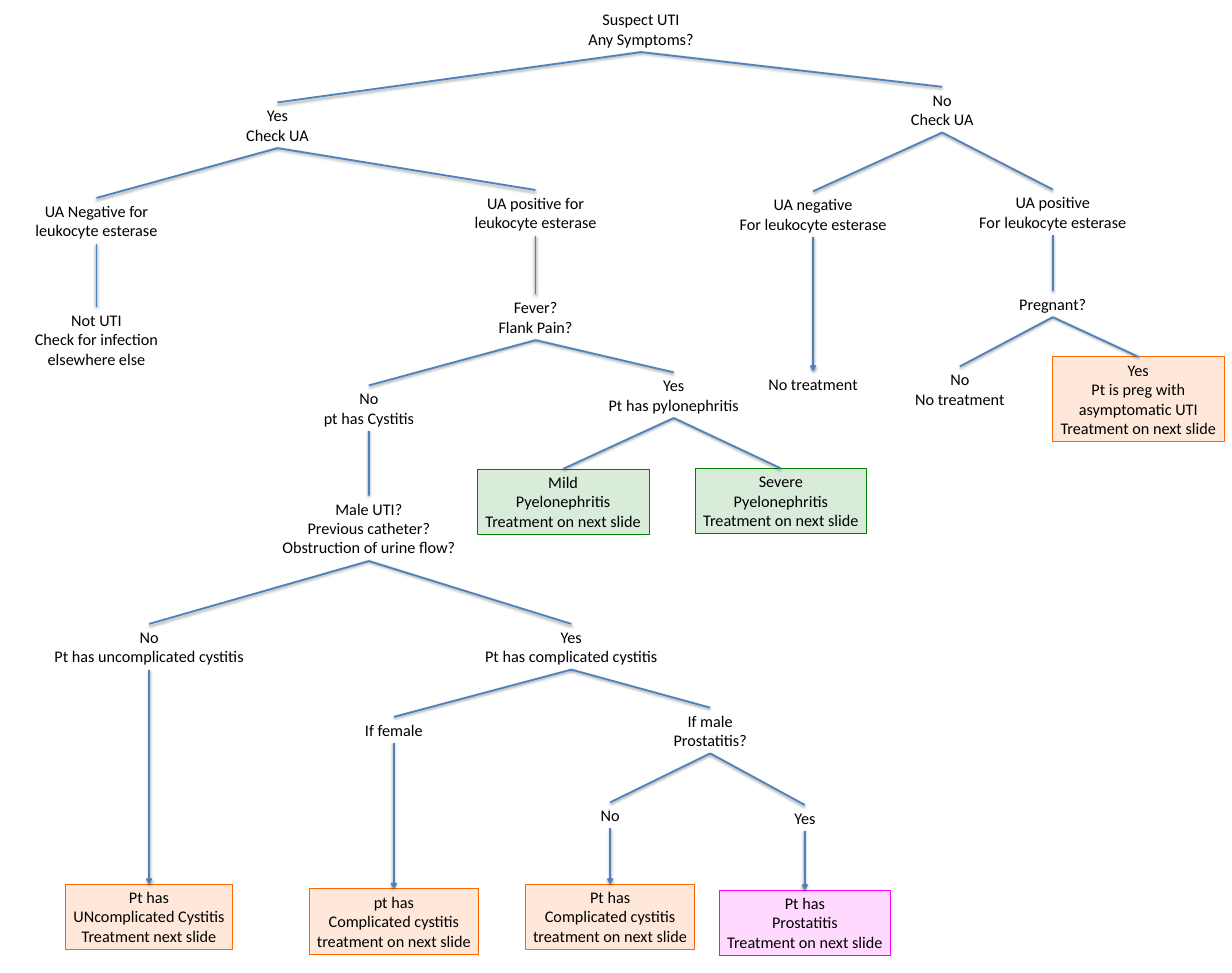
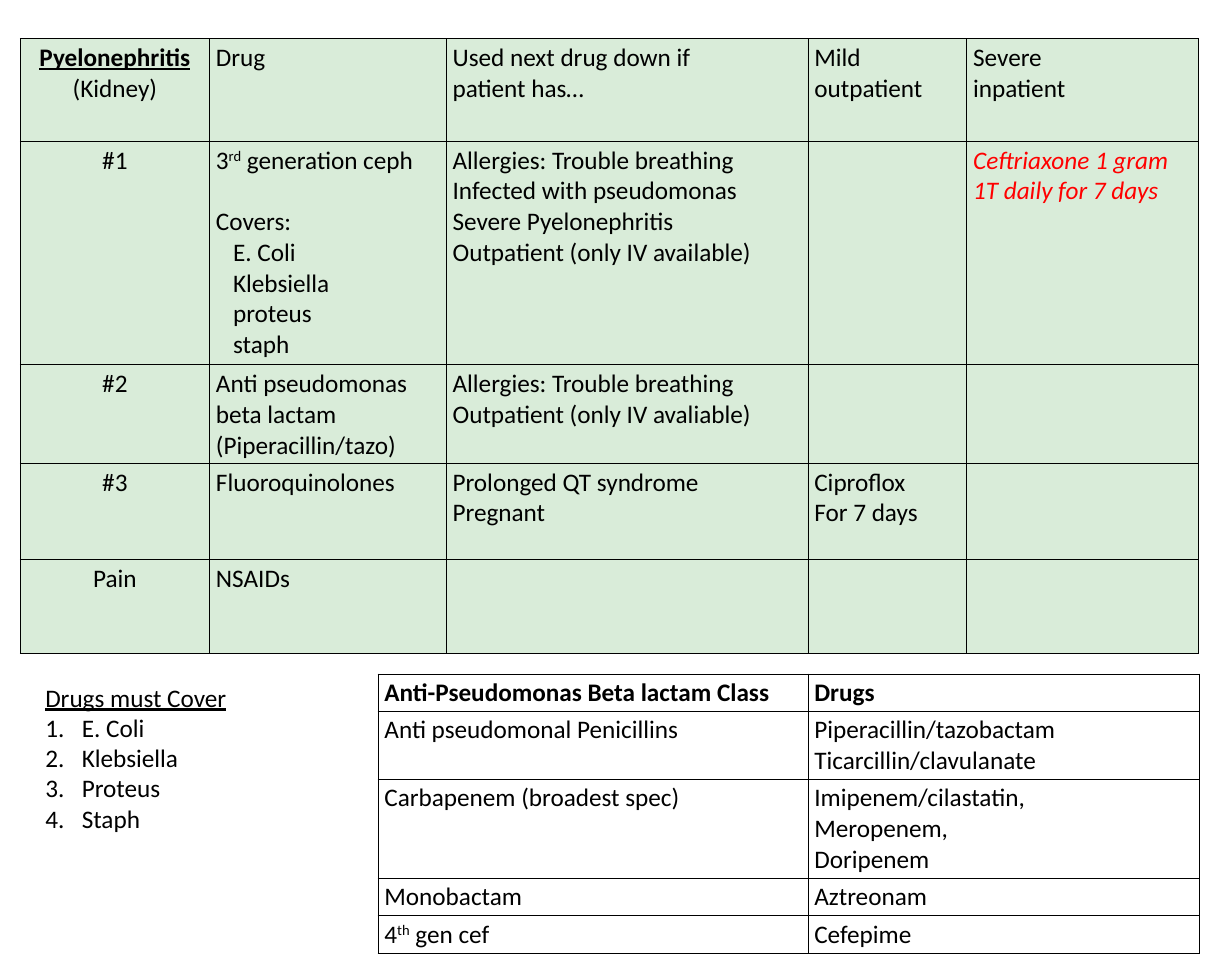
from dataclasses import dataclass

from lxml.etree import SubElement
from pptx import Presentation
from pptx.dml.color import RGBColor
from pptx.enum.shapes import MSO_CONNECTOR, MSO_SHAPE
from pptx.enum.text import MSO_ANCHOR, MSO_AUTO_SIZE, PP_ALIGN
from pptx.oxml import parse_xml
from pptx.oxml.ns import nsdecls, qn
from pptx.util import Cm, Pt


@dataclass(frozen=True)
class Theme:
    font: str = "Calibri"
    text: str = "000000"
    alert: str = "FF0000"
    connector: str = "4F81BD"
    orange: str = "FF6600"
    green: str = "008000"
    magenta: str = "FF00FF"
    tint: int = 15000
    node_size: int = 18
    table_size: int = 28


THEME = Theme()
BOTTOM, TOP = 2, 0

NODES = {
    "suspect": (25.11, 0.25, 4.7, ["Suspect UTI", "Any Symptoms?"]),
    "symptoms": (10.87, 4.01, 3, ["Yes", "Check UA"]),
    "no symptoms": (36.91, 3.4, 3, ["No", "Check UA"]),
    "ua negative": (3.78, 7.75, 8.43, ["UA Negative for", "leukocyte esterase"]),
    "ua positive": (20.98, 7.44, 5.38, ["UA positive for", "leukocyte esterase"]),
    "silent negative": (31.85, 7.49, 6.4, ["UA negative", "For leukocyte esterase"]),
    "silent positive": (41.24, 7.42, 6.4, ["UA positive", "For leukocyte esterase"]),
    "fever": (20.98, 11.53, 3.45, ["Fever?", "Flank Pain?"]),
    "no treatment": (31.85, 14.53, 4.06, ["No treatment"]),
    "pregnant": (41.24, 11.4, 3.18, ["Pregnant?"]),
    "not pregnant": (37.6, 14.35, 4.06, ["No", "No treatment"]),
    "cystitis": (14.45, 15.09, 4.11, ["No", "pt has Cystitis"]),
    "pyelonephritis": (26.39, 14.58, 5.69, ["Yes", "Pt has pylonephritis"]),
    "risks": (14.45, 19.41, 7.37,
              ["Male UTI?", "Previous catheter?", "Obstruction of urine flow?"]),
    "uncomplicated": (5.84, 24.43, 8.05, ["No", "Pt has uncomplicated cystitis"]),
    "complicated": (22.38, 24.43, 7.37, ["Yes", "Pt has complicated cystitis"]),
    "female": (15.43, 28.07, 2.82, ["If female"]),
    "male": (27.82, 27.71, 3.43, ["If male", "Prostatitis?"]),
    "no prostatitis": (23.9, 31.42, 1.27, ["No"]),
    "prostatitis": (31.53, 31.52, 1.4, ["Yes"]),
}

OUTCOMES = {
    "treat pregnant": (44.59, 13.97, 6.73, ["Yes", "Pt is preg with", "asymptomatic UTI",
                                           "Treatment on next slide"], THEME.orange),
    "treat mild": (22.06, 18.36, 6.73,
                   ["Mild", "Pyelonephritis", "Treatment on next slide"], THEME.green),
    "treat severe": (30.59, 18.34, 6.73,
                     ["Severe", "Pyelonephritis", "Treatment on next slide"], THEME.green),
    "treat uncomplicated": (5.84, 34.62, 6.53,
                            ["Pt has", "UNcomplicated Cystitis", "Treatment next slide"],
                            THEME.orange),
    "treat female": (15.43, 34.8, 6.63,
                     ["pt has", "Complicated cystitis", "treatment on next slide"],
                     THEME.orange),
    "treat male": (23.9, 34.62, 6.63,
                   ["Pt has", "Complicated cystitis", "treatment on next slide"],
                   THEME.orange),
    "treat prostatitis": (31.53, 34.85, 6.73,
                          ["Pt has", "Prostatitis", "Treatment on next slide"],
                          THEME.magenta),
}

BRANCHES = {
    "suspect": ["symptoms", "no symptoms"],
    "symptoms": ["ua negative", "ua positive"],
    "no symptoms": ["silent negative", "silent positive"],
    "ua negative": ["not uti"],
    "ua positive": ["fever"],
    "silent positive": ["pregnant"],
    "pregnant": ["not pregnant", "treat pregnant"],
    "fever": ["cystitis", "pyelonephritis"],
    "pyelonephritis": ["treat mild", "treat severe"],
    "cystitis": ["risks"],
    "risks": ["uncomplicated", "complicated"],
    "complicated": ["female", "male"],
    "male": ["no prostatitis", "prostatitis"],
}

ARROWS = {
    "silent negative": "no treatment",
    "uncomplicated": "treat uncomplicated",
    "female": "treat female",
    "no prostatitis": "treat male",
    "prostatitis": "treat prostatitis",
}

SPECIES = {"indent": Cm(0.67)}
TREATMENTS = [
    [[("Pyelonephritis", {"bold": True, "underline": True}), "(Kidney)"], ["Drug"],
     ["Used next drug down if", "patient has…"], ["Mild", "outpatient"],
     ["Severe", "inpatient"]],
    [["#1"],
     ["3^rd^ generation ceph", ("Covers:", {"before": Pt(34)}), ("E. Coli", SPECIES),
      ("Klebsiella", SPECIES), ("proteus", SPECIES), ("staph", SPECIES)],
     ["Allergies: Trouble breathing", "Infected with pseudomonas",
      "Severe Pyelonephritis", "Outpatient (only IV available)"],
     [],
     [("Ceftriaxone 1 gram 1T daily for 7 days", {"italic": True, "color": THEME.alert})]],
    [["#2"], ["Anti pseudomonas", "beta lactam", "(Piperacillin/tazo)"],
     ["Allergies: Trouble breathing", "Outpatient (only IV avaliable)"], [], []],
    [["#3"], ["Fluoroquinolones"], ["Prolonged QT syndrome", "Pregnant"],
     ["Ciproflox", "For 7 days"], []],
    [["Pain"], ["NSAIDs"], [], [], []],
]

HEADING = {"bold": True}
DRUG_CLASSES = [
    [[("Anti-Pseudomonas Beta lactam Class", HEADING)], [("Drugs", HEADING)]],
    [["Anti pseudomonal Penicillins"], ["Piperacillin/tazobactam", "Ticarcillin/clavulanate"]],
    [["Carbapenem (broadest spec)"], ["Imipenem/cilastatin,", "Meropenem,", "Doripenem"]],
    [["Monobactam"], ["Aztreonam"]],
    [["4^th^ gen cef"], ["Cefepime"]],
]


def write_paragraph(paragraph, text, *, size, align=PP_ALIGN.LEFT, color=THEME.text,
                    bold=False, italic=False, underline=False, before=0, indent=0,
                    hanging=0, bullet=None):
    properties = paragraph._p.get_or_add_pPr()
    properties.set("marL", str(int(indent)))
    properties.set("indent", str(-int(hanging)))
    if bullet == "number":
        SubElement(properties, qn("a:buFont"), typeface="+mj-lt")
        SubElement(properties, qn("a:buAutoNum"), type="arabicPeriod")
    else:
        SubElement(properties, qn("a:buNone"))
    paragraph.alignment = align
    paragraph.space_before = before
    for index, piece in enumerate(text.split("^")):
        run = paragraph.add_run()
        run.text = piece
        font = run.font
        font.name, font.size = THEME.font, Pt(size)
        font.bold, font.italic, font.underline = bold, italic, underline
        font.color.rgb = RGBColor.from_string(color)
        if index % 2:
            font._element.set("baseline", "30000")


def write_text(frame, lines, **text_format):
    for index, line in enumerate(lines):
        text, changes = (line, {}) if isinstance(line, str) else line
        paragraph = frame.add_paragraph() if index else frame.paragraphs[0]
        write_paragraph(paragraph, text, **{**text_format, **changes})


def tint_fill(fill, color):
    fill.solid()
    fill.fore_color.rgb = RGBColor.from_string(color)


def make_translucent(properties):
    color = properties.find(f"{qn('a:solidFill')}/{qn('a:srgbClr')}")
    if color is not None:
        SubElement(color, qn("a:alpha"), val=str(THEME.tint))


def add_node(slide, center, top, width, lines, color=None, rows=None):
    place = (Cm(center - width / 2), Cm(top), Cm(width),
             Cm(0.25 + 0.77 * (rows or len(lines))))
    if color:
        shape = slide.shapes.add_shape(MSO_SHAPE.RECTANGLE, *place)
        shape.shadow.inherit = False
        tint_fill(shape.fill, color)
        make_translucent(shape.element.spPr)
        shape.line.color.rgb = RGBColor.from_string(color)
        shape.line.width = Pt(0.75)
    else:
        shape = slide.shapes.add_textbox(*place)
    frame = shape.text_frame
    frame.word_wrap = rows is not None
    frame.auto_size = MSO_AUTO_SIZE.SHAPE_TO_FIT_TEXT
    frame.vertical_anchor = MSO_ANCHOR.TOP
    write_text(frame, lines, size=THEME.node_size, align=PP_ALIGN.CENTER)
    return shape


def add_branch(slide, parent, child, arrow=False):
    connector = slide.shapes.add_connector(MSO_CONNECTOR.STRAIGHT, 0, 0, 0, 0)
    connector.begin_connect(parent, BOTTOM)
    connector.end_connect(child, TOP)
    connector.line.color.rgb = RGBColor.from_string(THEME.connector)
    connector.line.width = Pt(2)
    properties = connector.element.spPr
    if arrow:
        SubElement(properties.find(qn("a:ln")), qn("a:tailEnd"), type="arrow")
    properties.append(parse_xml(
        f'<a:effectLst {nsdecls("a")}><a:outerShdw blurRad="{Pt(3.1)}" dist="{Pt(1.6)}" '
        'dir="5400000" rotWithShape="0"><a:srgbClr val="000000"><a:alpha val="38000"/>'
        '</a:srgbClr></a:outerShdw></a:effectLst>'))


def add_grid(slide, left, top, widths, heights, content, *, color=None,
             margin=0.13, first_align=PP_ALIGN.LEFT):
    graphic = slide.shapes.add_table(len(heights), len(widths), Cm(left), Cm(top),
                                     Cm(sum(widths)), Cm(sum(heights)))
    table = graphic.table
    table.first_row = table.horz_banding = False
    for column, width in zip(table.columns, widths):
        column.width = Cm(width)
    for row, height, texts in zip(table.rows, heights, content):
        row.height = Cm(height)
        for index, (cell, lines) in enumerate(zip(row.cells, texts)):
            cell.margin_left = cell.margin_right = Cm(0.25)
            cell.margin_top = cell.margin_bottom = Cm(margin)
            if color:
                tint_fill(cell.fill, color)
            else:
                cell.fill.background()
            write_text(cell.text_frame, lines, size=THEME.table_size,
                       align=PP_ALIGN.LEFT if index else first_align)
    for properties in graphic.element.iter(qn("a:tcPr")):
        make_translucent(properties)
        for position, side in enumerate(("lnL", "lnR", "lnT", "lnB")):
            properties.insert(position, parse_xml(
                f'<a:{side} {nsdecls("a")} w="{Pt(1)}"><a:solidFill>'
                f'<a:srgbClr val="{THEME.text}"/></a:solidFill></a:{side}>'))


def add_list(slide, left, top, width, height, heading, items):
    title, body = slide.shapes.title, slide.placeholders[1]
    title.element.getparent().remove(title.element)
    body.left, body.top, body.width, body.height = map(Cm, (left, top, width, height))
    frame = body.text_frame
    frame.word_wrap = False
    frame.auto_size = MSO_AUTO_SIZE.SHAPE_TO_FIT_TEXT
    numbered = {"indent": Cm(1.43), "hanging": Cm(1.43), "bullet": "number"}
    write_text(frame, [(heading, {"underline": True}), *((item, numbered) for item in items)],
               size=THEME.table_size)


def build_decision_tree(presentation):
    slide = presentation.slides.add_slide(presentation.slide_layouts[6])
    nodes = {name: add_node(slide, *node) for name, node in {**NODES, **OUTCOMES}.items()}
    nodes["not uti"] = add_node(slide, 3.78, 12.01, 5.97,
                                ["Not UTI", "Check for infection elsewhere else"], rows=3)
    for parent, children in BRANCHES.items():
        for child in children:
            add_branch(slide, nodes[parent], nodes[child])
    for parent, child in ARROWS.items():
        add_branch(slide, nodes[parent], nodes[child], arrow=True)


def build_treatments(presentation):
    slide = presentation.slides.add_slide(presentation.slide_layouts[1])
    add_grid(slide, 0.79, 1.52, [7.42, 9.27, 14.17, 6.22, 9.09],
             [4.01, 8.75, 3.78, 3.78, 3.68], TREATMENTS, color=THEME.green,
             margin=0.15, first_align=PP_ALIGN.CENTER)
    class_heights = [0.25 + 1.21 * max(map(len, row)) for row in DRUG_CLASSES]
    add_grid(slide, 14.81, 26.39, [16.84, 15.34], class_heights, DRUG_CLASSES)
    add_list(slide, 1.52, 26.57, 7.7, 6.25, "Drugs must Cover",
             ["E. Coli", "Klebsiella", "Proteus", "Staph"])


def main():
    presentation = Presentation()
    presentation.slide_width, presentation.slide_height = Cm(48.26), Cm(38.1)
    build_decision_tree(presentation)
    build_treatments(presentation)
    presentation.save("out.pptx")


if __name__ == "__main__":
    main()
